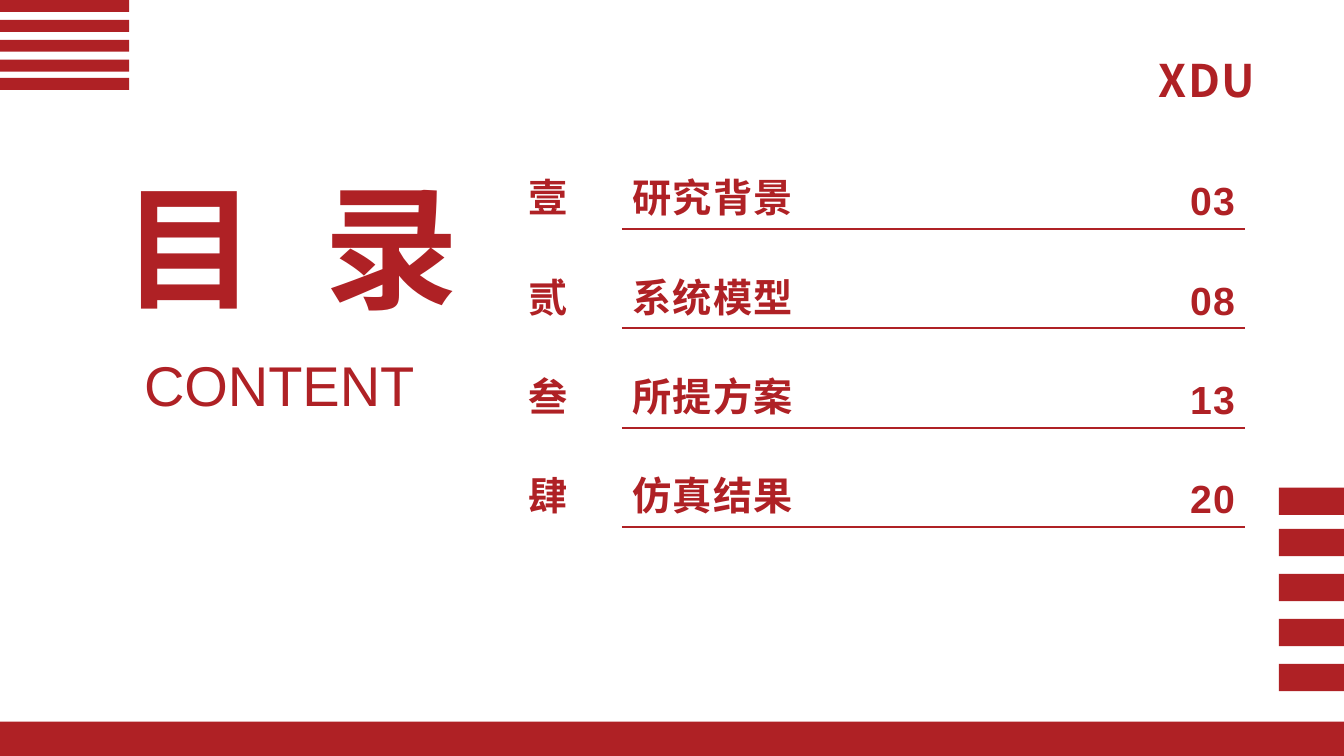
from dataclasses import dataclass

import pptx
import pptx.dml.color
import pptx.enum.shapes
import pptx.enum.text
import pptx.oxml
import pptx.oxml.ns
import pptx.util

Pt = pptx.util.Pt
PP_ALIGN = pptx.enum.text.PP_ALIGN
qn = pptx.oxml.ns.qn
RED = pptx.dml.color.RGBColor(0xAF, 0x21, 0x25)
LATIN_FONT = "Arial"
CJK_FONT = "Noto Sans CJK SC"
NO_GRID_STYLE = "{2D5ABB26-0587-4C30-8999-92F81FD0307C}"


@dataclass
class Bar:
    x: float
    y: float
    w: float
    h: float


@dataclass
class Label:
    text: str
    x: float
    y: float
    w: float
    h: float
    size: float
    font: str = LATIN_FONT
    bold: bool = True
    spacing: float = 0
    line_spacing: float = 1.0
    wrap: bool = False
    right_inset: float = 7.2


@dataclass
class Chapter:
    numeral: str
    title: str
    page: str


@dataclass
class Column:
    field: str
    width: float
    align: PP_ALIGN
    line_spacing: float
    ruled: bool


LABELS = [
    Label("XDU", 820.8, 22.3, 90.7, 52.6, 32, CJK_FONT, spacing=1, line_spacing=1.3),
    # Letter spacing opens the wide gap between the two characters
    Label("目 录", 80.6, 113.8, 265.7, 123.8, 96, spacing=13.35, right_inset=0),
    Label("CONTENT", 95.8, 247, 241.2, 55.4, 40, bold=False, wrap=True),
]
CHAPTERS = [
    Chapter("壹", "研究背景", "03"),
    Chapter("贰", "系统模型", "08"),
    Chapter("叁", "所提方案", "13"),
    Chapter("肆", "仿真结果", "20"),
]
COLUMNS = [
    Column("numeral", 74.2, PP_ALIGN.LEFT, 1.0, False),
    Column("title", 349.6, PP_ALIGN.LEFT, 1.3, True),
    Column("page", 95.5, PP_ALIGN.RIGHT, 1.0, True),
]
ROW_HEIGHT = 70.95
FOOTER = Bar(0, 515.5, 960, 24.5)
LEFT_BARS = [Bar(0, y, 92.2, 8.6) for y in (0, 14.2, 28.4, 42.6, 55.6)]
RIGHT_BARS = [Bar(913.5, y, 46.5, 19.5) for y in (348.4, 377.8, 410, 442.1, 474.2)]


def style_run(r, size: float, font: str, bold: bool, spacing: float) -> None:
    r.font.size = Pt(size)
    r.font.name = font
    r.font.bold = bold
    r.font.color.rgb = RED
    rpr = r.font._element
    rpr.set("spc", str(round(spacing * 100)))
    rpr.find(qn("a:latin")).addnext(
        pptx.oxml.parse_xml(
            f'<a:ea {pptx.oxml.ns.nsdecls("a")} typeface="{CJK_FONT}"/>'
        )
    )


def add_bar(shapes, bar: Bar) -> None:
    sp = shapes.add_shape(
        pptx.enum.shapes.MSO_SHAPE.RECTANGLE,
        Pt(bar.x), Pt(bar.y), Pt(bar.w), Pt(bar.h),
    )
    sp.shadow.inherit = False
    sp.fill.solid()
    sp.fill.fore_color.rgb = RED
    sp.line.fill.background()


def add_label(shapes, label: Label) -> None:
    sp = shapes.add_textbox(Pt(label.x), Pt(label.y), Pt(label.w), Pt(label.h))
    tf = sp.text_frame
    tf.word_wrap = label.wrap
    tf.margin_right = Pt(label.right_inset)
    tf.text = label.text
    p = tf.paragraphs[0]
    p.line_spacing = label.line_spacing
    style_run(p.runs[0], label.size, label.font, label.bold, label.spacing)


def add_bottom_rule(cell) -> None:
    cell._tc.get_or_add_tcPr().append(
        pptx.oxml.parse_xml(
            f'<a:lnB {pptx.oxml.ns.nsdecls("a")} w="{Pt(1.5)}">'
            f'<a:solidFill><a:srgbClr val="{RED}"/></a:solidFill></a:lnB>'
        )
    )


def add_contents(shapes, x: float, y: float) -> None:
    table = shapes.add_table(
        len(CHAPTERS), len(COLUMNS), Pt(x), Pt(y),
        Pt(sum(c.width for c in COLUMNS)), Pt(ROW_HEIGHT * len(CHAPTERS)),
    ).table
    table.first_row = table.horz_banding = False
    table._tbl.tblPr.find(qn("a:tableStyleId")).text = NO_GRID_STYLE
    for i, column in enumerate(COLUMNS):
        table.columns[i].width = Pt(column.width)
    for i, chapter in enumerate(CHAPTERS):
        table.rows[i].height = Pt(ROW_HEIGHT)
        for j, column in enumerate(COLUMNS):
            cell = table.cell(i, j)
            if column.ruled:
                add_bottom_rule(cell)
            cell.fill.background()
            cell.vertical_anchor = pptx.enum.text.MSO_ANCHOR.BOTTOM
            p = cell.text_frame.paragraphs[0]
            p.text = getattr(chapter, column.field)
            p.alignment = column.align
            p.line_spacing = column.line_spacing
            style_run(p.runs[0], 28, LATIN_FONT, True, 1)


def main() -> None:
    prs = pptx.Presentation()
    prs.slide_width, prs.slide_height = Pt(960), Pt(540)
    s = prs.slides.add_slide(prs.slide_layouts[6])

    # Headings
    for label in LABELS:
        add_label(s.shapes, label)

    # Table of contents
    add_contents(s.shapes, 370.1, 92.7)

    # Footer band and corner stripes
    add_bar(s.shapes, FOOTER)
    for bars in (LEFT_BARS, RIGHT_BARS):
        group = s.shapes.add_group_shape()
        for bar in bars:
            add_bar(group.shapes, bar)

    prs.save("out.pptx")


if __name__ == "__main__":
    main()
